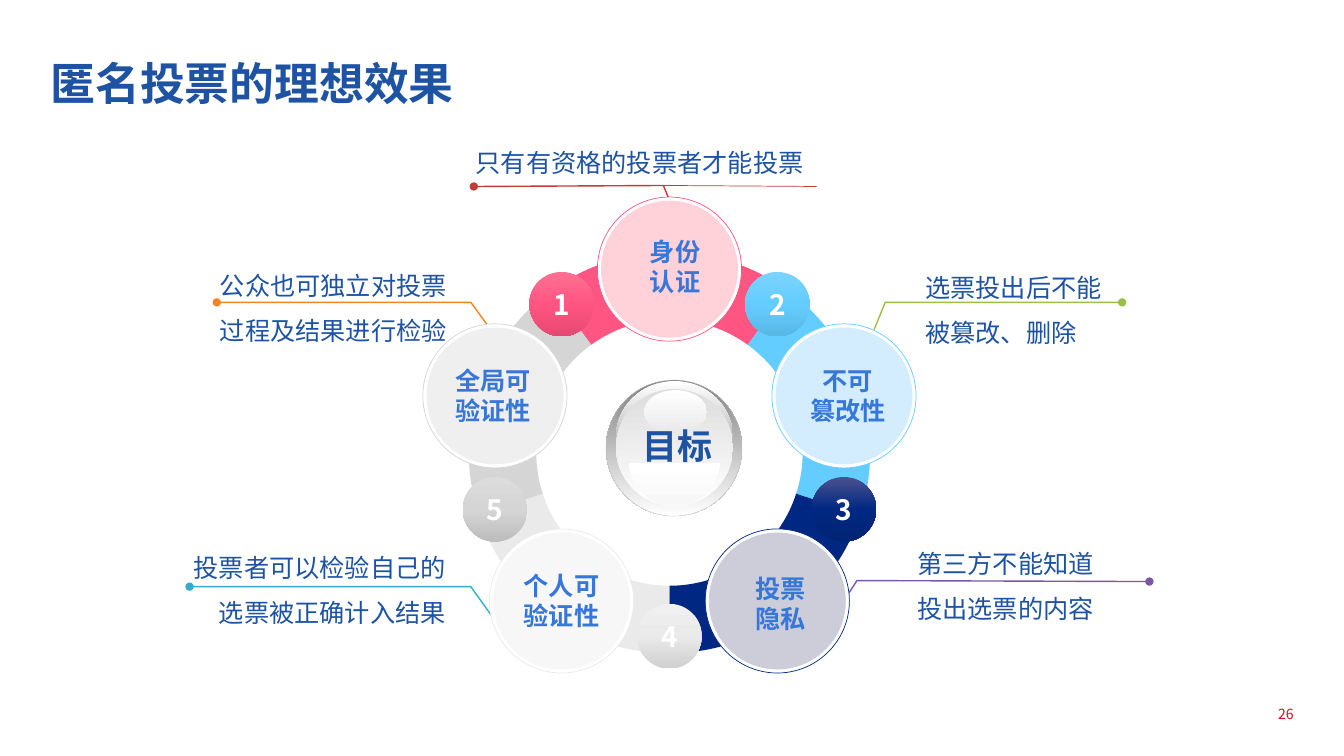
import math

from lxml import etree
from pptx import Presentation
from pptx.dml.color import RGBColor
from pptx.enum import shapes, text
from pptx.oxml.ns import qn
from pptx.util import Inches, Pt

THEME = {
    "font": "Noto Sans CJK SC",
    "ink": "1E53A4", "node": "3777DA", "white": "FFFFFF", "page": "D80C18",
    "rim": "C0C0C0", "red": "C43B38",
    "title": 32, "goal": 25, "badge": 20, "body": 18, "small": 10,
}
LEFT, MID, RIGHT = text.PP_ALIGN.LEFT, text.PP_ALIGN.CENTER, text.PP_ALIGN.RIGHT
OVAL = shapes.MSO_SHAPE.OVAL

deck = Presentation()
deck.slide_width, deck.slide_height = Inches(13.33), Inches(7.5)
slide = deck.slides.add_slide(deck.slide_layouts[6])
draw = slide.shapes


def write(shape, words, size, color, bold=False, align=LEFT, space=None, wrap=False):
    """Fill the shape's frame with text, one paragraph a line."""
    frame = shape.text_frame
    frame.text = words
    frame.word_wrap = wrap
    for para in frame.paragraphs:
        para.alignment = align
        if space:
            para.line_spacing = space
        for run in para.runs:
            run.font.name = THEME["font"]
            run.font.size = Pt(THEME[size])
            run.font.bold = bold
            run.font.color.rgb = RGBColor.from_string(THEME[color])
            east = etree.SubElement(run.font._element, qn("a:ea"))
            east.set("typeface", THEME["font"])
    return frame


def paint(shape, colors, line=None, width=0.5):
    """Fill with one colour, or with an even top-down blend of several."""
    shape.shadow.inherit = False
    if len(colors) == 1:
        shape.fill.solid()
        shape.fill.fore_color.rgb = RGBColor.from_string(colors[0])
    else:
        shape.fill.gradient()
        shape.fill.gradient_angle = 270
        stops = shape._element.spPr.find(qn("a:gradFill")).find(qn("a:gsLst"))
        for stop in list(stops):
            stops.remove(stop)
        for i, color in enumerate(colors):
            stop = etree.SubElement(stops, qn("a:gs"), pos=str(100000 * i // (len(colors) - 1)))
            etree.SubElement(stop, qn("a:srgbClr"), val=color)
    if line:
        shape.line.color.rgb = RGBColor.from_string(line)
        shape.line.width = Pt(width)
    else:
        shape.line.fill.background()


# Title and page number
title = draw.add_textbox(Inches(0.5), Inches(0.5), Inches(12.33), Inches(0.97))
page = draw.add_textbox(Inches(9.83), Inches(7), Inches(3), Inches(0.17))
for box in (title, page):
    frame = box.text_frame
    frame.margin_left = frame.margin_right = frame.margin_top = frame.margin_bottom = 0
write(title, "匿名投票的理想效果", "title", "ink", bold=True, space=1.1, wrap=True)
write(page, "26", "small", "page", align=RIGHT, wrap=True)
page.text_frame.vertical_anchor = text.MSO_ANCHOR.BOTTOM

# Leader lines, from circle to dot
leaders = [
    ("F18526", [(4.86, 3.26), (4.67, 3), (2.15, 3)]),
    (THEME["red"], [(6.67, 2.06), (6.58, 1.84), (4.7, 1.85)]),
    ("34ABCC", [(4.87, 6.1), (4.67, 5.82), (1.88, 5.82)]),
    ("7A57A4", [(8.35, 5.99), (8.5, 5.76), (11.4, 5.77)]),
    ("99C047", [(8.67, 3.27), (8.78, 3), (11.13, 3)]),
]
for color, points in leaders:
    spots = [(Inches(x), Inches(y)) for x, y in points]
    pen = draw.build_freeform(*spots[0])
    pen.add_line_segments(spots[1:], close=False)
    leader = pen.convert_to_shape()
    leader.shadow.inherit = False
    leader.fill.background()
    leader.line.color.rgb = RGBColor.from_string(color)
    leader.line.width = Pt(1)
    etree.SubElement(leader.line._get_or_add_ln(), qn("a:tailEnd"), type="oval")

thin = draw.add_connector(shapes.MSO_CONNECTOR.STRAIGHT,
                          Inches(6.58), Inches(1.84), Inches(8.1), Inches(1.85))
thin.line.color.rgb = RGBColor.from_string(THEME["red"])
thin.line.width = Pt(0.5)
etree.SubElement(thin._element.spPr, qn("a:effectLst"))

# Ring: nodes run clockwise from the top; each badge sits between two nodes
HUB_X, HUB_Y, REACH = 6.64, 4.49, 1.82
RING, RIM, DISC, DOT = 3.98, 1.43, 1.35, 0.64
# label, its left, top and width, ring colour, disc colour, badge number, badge blend
nodes = [
    ("身份\n认证", 6.34, 2.29, 0.71, "FF5582", "FFD1D8", "1", ["FF7092", "FF5582", "E54972"]),
    ("不可\n篡改性", 7.93, 3.57, 0.96, "64CDFF", "D3EDFF", "2", ["7BD3FF", "64CDFF", "57B7E5"]),
    ("投票\n隐私", 7.39, 5.64, 0.71, "002882", "CCCDD8", "3", ["4B5290", "002882", "002474"]),
    ("个人可\n验证性", 5.09, 5.61, 0.96, "EAEAEA", "F7F7F7", "4", ["F0F0F0", "EAEAEA", "D0D0D0"]),
    ("全局可\n验证性", 4.41, 3.57, 0.96, "D5D5D5", "EFEFEF", "5", ["DCDCDC", "D5D5D5", "BDBDBD"]),
]
STEP = 360 / len(nodes)
TURN = 0.6  # adjustment units in one degree

for i, node in enumerate(nodes):
    arc = draw.add_shape(shapes.MSO_SHAPE.BLOCK_ARC, Inches(HUB_X - RING / 2),
                         Inches(HUB_Y - RING / 2), Inches(RING), Inches(RING))
    start = 234 + i * STEP
    arc.adjustments[0] = start % 360 * TURN
    arc.adjustments[1] = (start + STEP) % 360 * TURN
    arc.adjustments[2] = 0.168
    paint(arc, [node[4]])

for i, (label, left, top, wide, ring, disc, number, blend) in enumerate(nodes):
    angle = math.radians(i * STEP)
    x, y = HUB_X + REACH * math.sin(angle), HUB_Y - REACH * math.cos(angle)
    for size, color, line in ((RIM, THEME["white"], ring), (DISC, disc, disc)):
        circle = draw.add_shape(OVAL, Inches(x - size / 2), Inches(y - size / 2),
                                Inches(size), Inches(size))
        paint(circle, [color], line)
    box = draw.add_textbox(Inches(left), Inches(top), Inches(wide), Inches(0.71))
    write(box, label, "body", "node", bold=True, align=MID)

    angle = math.radians((i - 0.5) * STEP)
    x, y = HUB_X + REACH * math.sin(angle), HUB_Y - REACH * math.cos(angle)
    badge = draw.add_shape(OVAL, Inches(x - DOT / 2), Inches(y - DOT / 2),
                           Inches(DOT), Inches(DOT))
    paint(badge, blend)
    write(badge, number, "badge", "white", bold=True, align=MID)
    badge.text_frame.vertical_anchor = text.MSO_ANCHOR.MIDDLE

# Glass ball in the middle
balls = [
    (6.01, 3.77, 1.35, 1.35, ["808080", "FFFFFF"], THEME["rim"]),
    (6.11, 3.78, 1.16, 1.12, ["FFFFFF", "808080"], None),
    (6.11, 3.86, 1.16, 1.16, ["DDDDDD", "FFFFFF"], None),
    (6.39, 3.87, 0.62, 0.43, ["FFFFFF", "E9E9E9"], None),
]
for left, top, wide, high, blend, line in balls:
    ball = draw.add_shape(OVAL, Inches(left), Inches(top), Inches(wide), Inches(high))
    paint(ball, blend, line, 0.25)

bowl = [(Inches(6.69 + 0.45 * math.cos(math.radians(a))),
         Inches(4.59 + 0.43 * math.sin(math.radians(a)))) for a in range(0, 181, 5)]
pen = draw.build_freeform(*bowl[0])
pen.add_line_segments(bowl[1:], close=True)
paint(pen.convert_to_shape(), ["FFFFFF", "F7F7F7"])

goal = draw.add_textbox(Inches(6.27), Inches(4.16), Inches(0.9), Inches(0.52))
write(goal, "目标", "goal", "ink", bold=True)

# Notes beside the nodes
notes = [
    ("只有有资格的投票者才能投票", 4.62, 1.41, 3.48, 0.4, LEFT, None, False),
    ("选票投出后不能\n被篡改、删除", 9.08, 2.5, 1.97, 1.01, LEFT, 1.5, False),
    ("第三方不能知道\n投出选票的内容", 9, 5.24, 1.97, 1.01, LEFT, 1.5, False),
    ("投票者可以检验自己的\n选票被正确计入结果", 1.65, 5.28, 2.87, 0.96, RIGHT, 1.5, True),
    ("公众也可独立对投票过程及结果进行检验", 1.93, 2.48, 2.6, 1.01, RIGHT, 1.5, True),
]
for words, left, top, wide, high, align, space, wrap in notes:
    box = draw.add_textbox(Inches(left), Inches(top), Inches(wide), Inches(high))
    write(box, words, "body", "ink", align=align, space=space, wrap=wrap)

deck.save("out.pptx")
